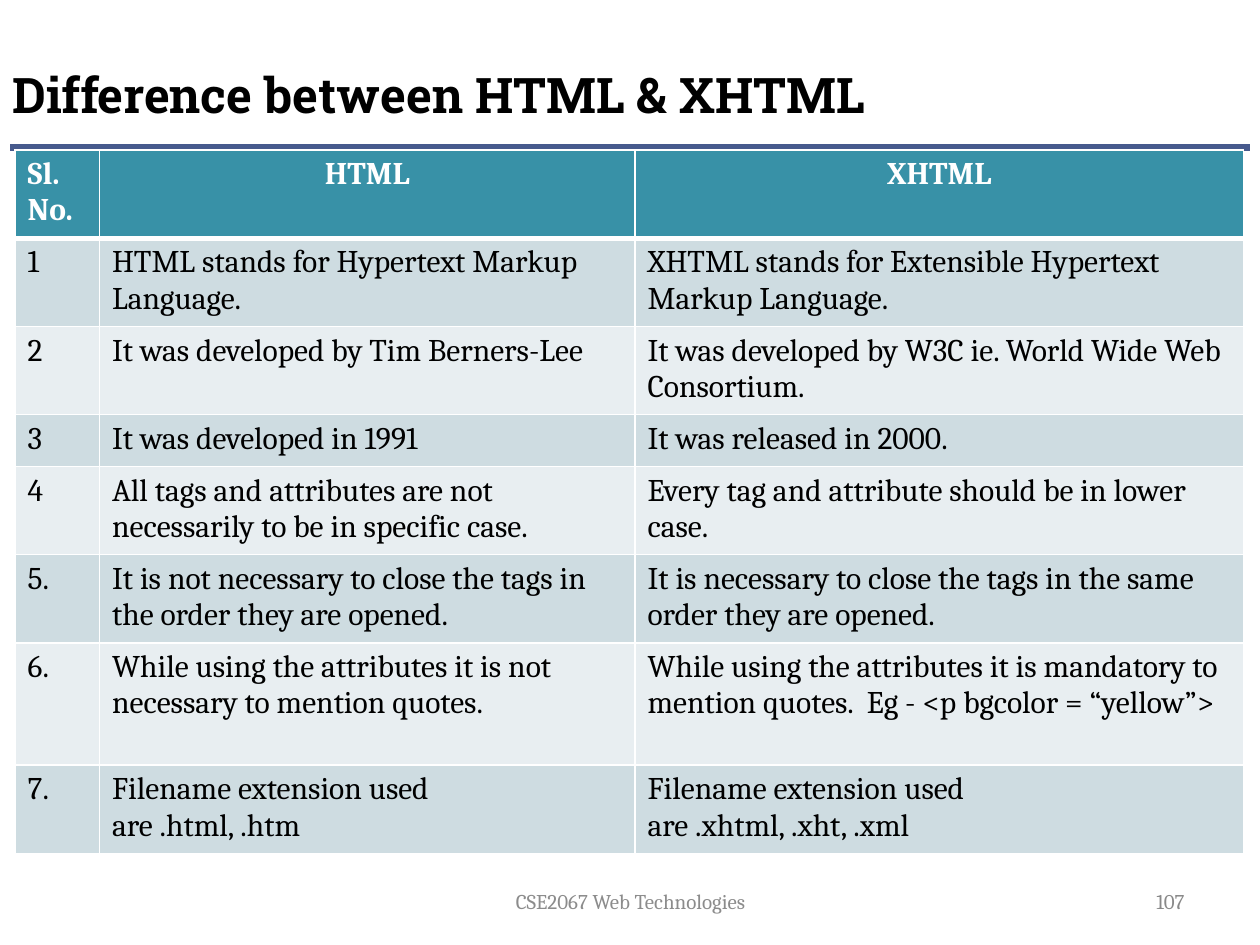
from dataclasses import dataclass

from lxml import etree
from pptx import Presentation
from pptx.dml.color import RGBColor
from pptx.enum.shapes import MSO_CONNECTOR
from pptx.enum.text import MSO_ANCHOR, PP_ALIGN
from pptx.oxml.ns import qn
from pptx.util import Inches, Pt

STRAIGHT = MSO_CONNECTOR.STRAIGHT
MIDDLE, BOTTOM = MSO_ANCHOR.MIDDLE, MSO_ANCHOR.BOTTOM
LEFT, CENTER, RIGHT = PP_ALIGN.LEFT, PP_ALIGN.CENTER, PP_ALIGN.RIGHT


@dataclass(frozen=True)
class Theme:
    title_font: str = "Roboto Slab"
    body_font: str = "Cambria"
    title_size: int = 28
    body_size: int = 18
    footer_size: int = 12
    ink: str = "000000"
    white: str = "FFFFFF"
    rule: str = "475A8D"
    header: str = "3891A7"
    bands: tuple = ("CEDCE1", "E8EEF1")
    footer: str = "8C8C8C"
    number: str = "898989"


THEME = Theme()

HEADINGS = ("Sl. No.", "HTML", "XHTML")
DIFFERENCES = (
    ("1", "HTML stands for Hypertext Markup Language.",
     "XHTML stands for Extensible Hypertext Markup Language."),
    ("2", "It was developed by Tim Berners-Lee",
     "It was developed by W3C ie. World Wide Web Consortium."),
    ("3", "It was developed in 1991", "It was released in 2000."),
    ("4", "All tags and attributes are not necessarily to be in specific case.",
     "Every tag and attribute should be in lower case."),
    ("5.", "It is not necessary to close the tags in the order they are opened.",
     "It is necessary to close the tags in the same order they are opened."),
    ("6.", "While using the attributes it is not necessary to mention quotes.",
     "While using the attributes it is mandatory to mention quotes.  Eg - <p bgcolor = “yellow”>"),
    ("7.", "Filename extension used are .html, .htm",
     "Filename extension used are .xhtml, .xht, .xml"),
)
COLUMN_WIDTHS = (0.67, 4.25, 4.83)
ROW_HEIGHTS = (0.68, 0.68, 0.68, 0.41, 0.68, 0.68, 0.97, 0.68)


def write(frame, text, font, size, color, bold=False, align=LEFT):
    para = frame.paragraphs[0]
    para.alignment = align
    span = para.add_run()
    span.text = text
    span.font.name = font
    span.font.size = Pt(size)
    span.font.bold = bold
    span.font.color.rgb = RGBColor.from_string(color)


def add_label(page, box, anchor, text, *style, **options):
    frame = page.shapes.add_textbox(*map(Inches, box)).text_frame
    frame.word_wrap = True
    frame.vertical_anchor = anchor
    write(frame, text, *style, **options)


def add_heading(page, box):
    left, top, width, height = box
    rule_top = top + height + 0.14
    rule = page.shapes.add_connector(
        STRAIGHT, Inches(left + 0.08), Inches(rule_top),
        Inches(left + width - 0.08), Inches(rule_top))
    rule.line.color.rgb = RGBColor.from_string(THEME.rule)
    rule.line.width = Pt(4)
    etree.SubElement(rule._element.spPr, qn("a:effectLst"))
    add_label(page, box, BOTTOM, "Difference between HTML & XHTML",
              THEME.title_font, THEME.title_size, THEME.ink, bold=True)


def add_borders(cell, bottom_width):
    properties = cell._tc.get_or_add_tcPr()
    for side, width in (("L", 1), ("R", 1), ("T", 1), ("B", bottom_width)):
        border = etree.SubElement(properties, qn(f"a:ln{side}"), w=str(Pt(width)))
        fill = etree.SubElement(border, qn("a:solidFill"))
        etree.SubElement(fill, qn("a:srgbClr"), val=THEME.white)


def fill_cell(cell, text, background, color, bold, align, bottom_width):
    add_borders(cell, bottom_width)
    cell.fill.solid()
    cell.fill.fore_color.rgb = RGBColor.from_string(background)
    write(cell.text_frame, text, THEME.body_font, THEME.body_size, color, bold, align)


def add_comparison(page, box):
    rows = (HEADINGS, *DIFFERENCES)
    table = page.shapes.add_table(len(rows), len(HEADINGS), *map(Inches, box)).table
    for column, width in zip(table.columns, COLUMN_WIDTHS):
        column.width = Inches(width)
    for row, height in zip(table.rows, ROW_HEIGHTS):
        row.height = Inches(height)
    for index, text in enumerate(HEADINGS):
        fill_cell(table.cell(0, index), text, THEME.header, THEME.white, True,
                  CENTER if index else LEFT, 3)
    for number, texts in enumerate(DIFFERENCES, start=1):
        band = THEME.bands[(number - 1) % 2]
        for index, text in enumerate(texts):
            fill_cell(table.cell(number, index), text, band, THEME.ink, False, LEFT, 1)
    for cell in table.rows[1].cells:
        cell._tc.tcPr.find(qn("a:lnT")).set("w", str(Pt(3)))


def add_footer(page, box):
    left, top, width, height = box
    add_label(page, (left + 3.42, top, 3.17, height), MIDDLE, "CSE2067 Web Technologies",
              THEME.body_font, THEME.footer_size, THEME.footer, align=CENTER)
    add_label(page, (left + width - 2.83, top, 2.33, height), MIDDLE, "107",
              THEME.body_font, THEME.footer_size, THEME.number, align=RIGHT)


def main():
    deck = Presentation()
    deck.slide_width, deck.slide_height = Inches(10), Inches(7.5)
    page = deck.slides.add_slide(deck.slide_layouts[6])
    add_heading(page, (0, 0.25, 10, 0.78))
    add_footer(page, (0, 6.95, 10, 0.4))
    add_comparison(page, (0.12, 1.19, sum(COLUMN_WIDTHS), sum(ROW_HEIGHTS)))
    deck.save("out.pptx")


if __name__ == "__main__":
    main()
